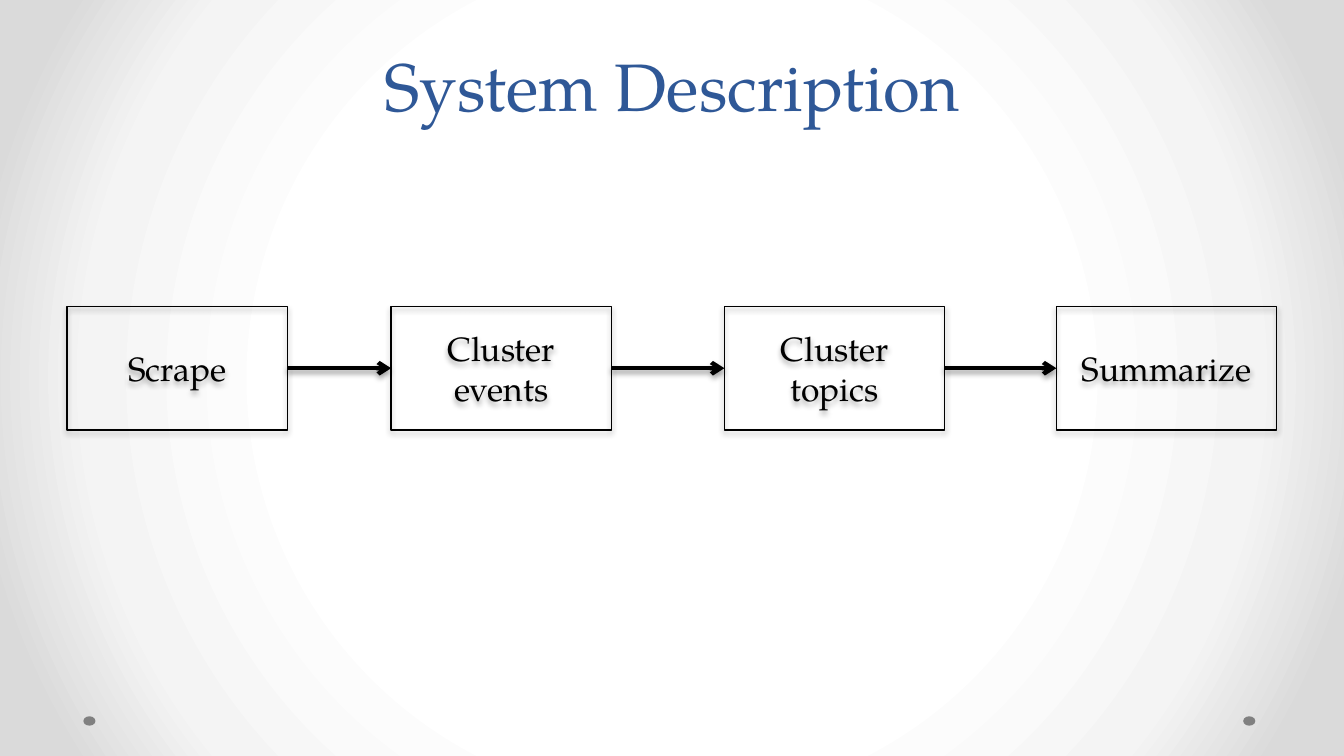
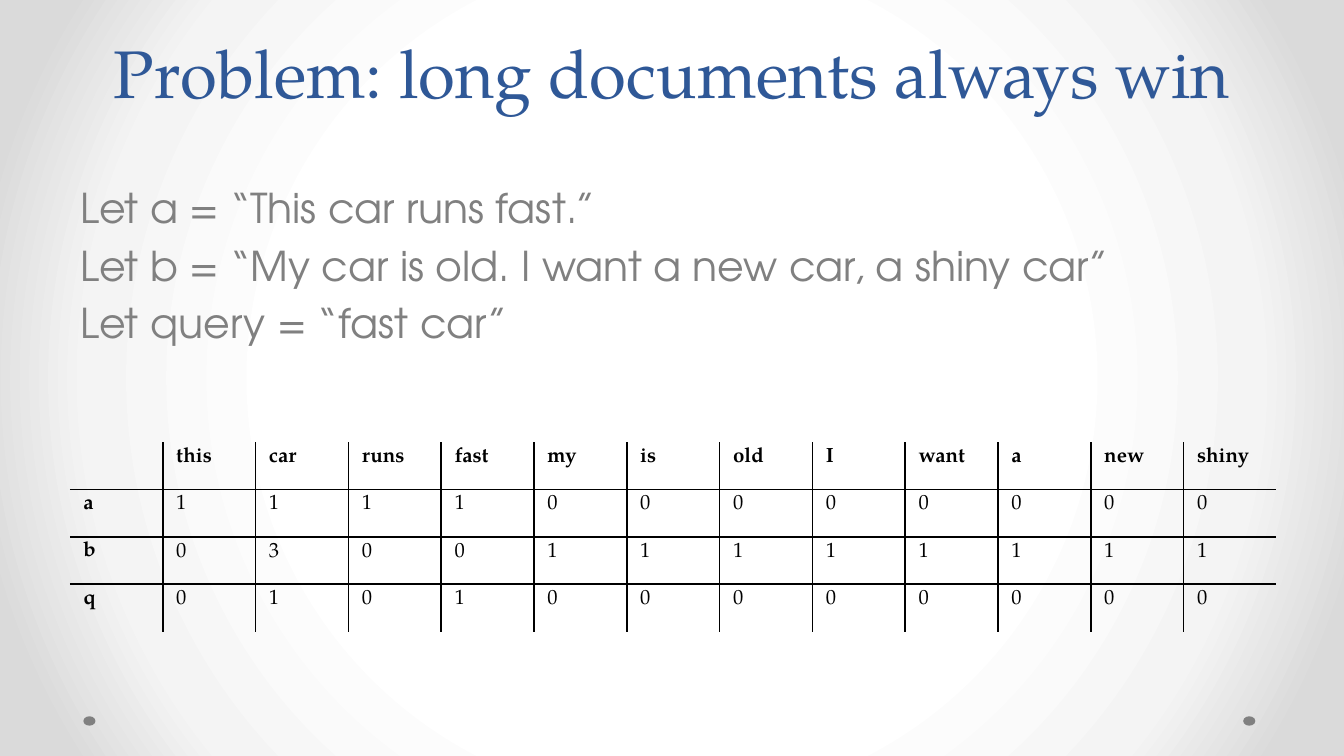
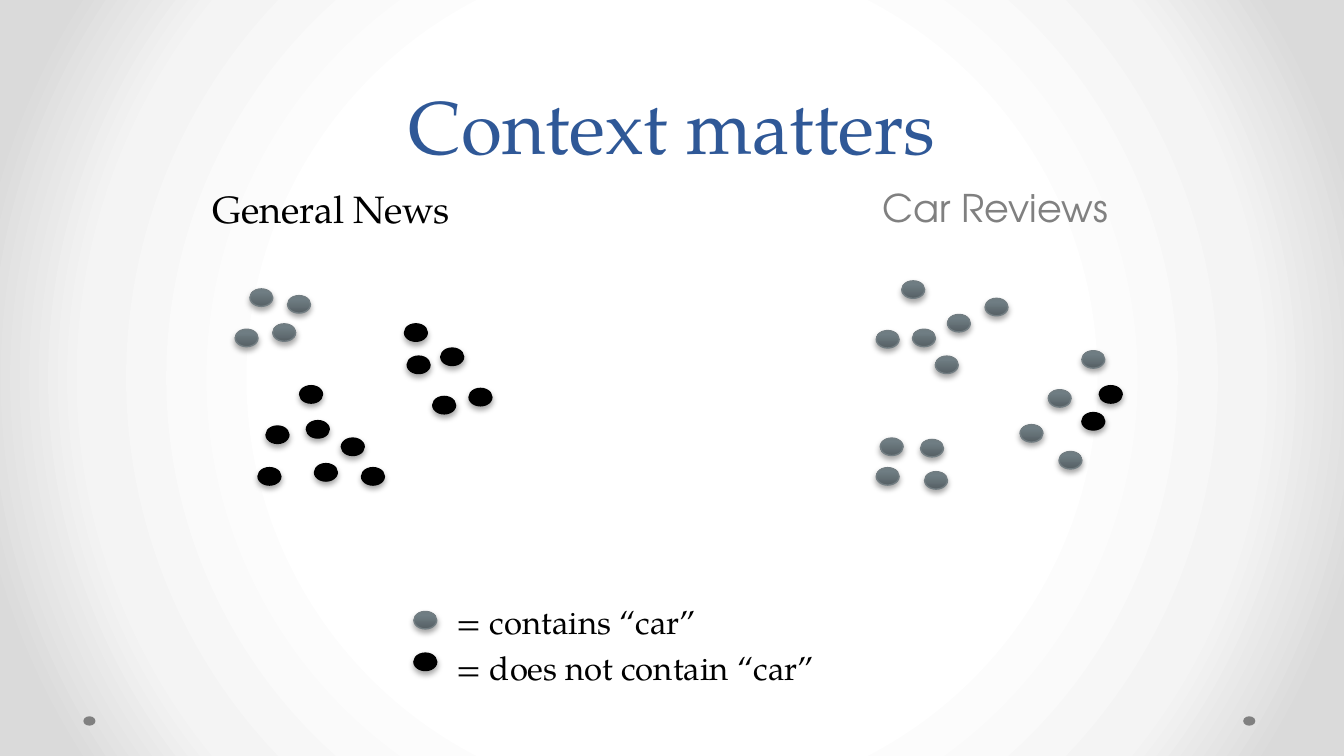
"""Build three slides on clustering and summarizing news documents."""
from dataclasses import dataclass
from typing import NamedTuple

from lxml import etree
from pptx import Presentation
from pptx import util as u
from pptx.dml.color import RGBColor
from pptx.enum import shapes, text
from pptx.oxml.ns import qn


class TextStyle(NamedTuple):
    font: str
    size: float
    color: str
    bold: bool = False


class Box(NamedTuple):
    left: float
    top: float
    width: float
    height: float

    def inches(self) -> list:
        return [u.Inches(value) for value in self]


class Shadow(NamedTuple):
    opacity: int
    blur: float
    distance: float


class Step(NamedTuple):
    left: float
    label: str


class Dot(NamedTuple):
    left: float
    top: float
    has_car: bool


@dataclass(frozen=True)
class Theme:
    serif: str = "TeX Gyre Pagella"
    sans: str = "TeX Gyre Adventor"
    black: str = "000000"
    blue: str = "2F5897"
    gray: str = "808080"
    dot_line: str = "727D82"
    backdrop: tuple = ((50, "FFFFFF"), (76, "F4F4F4"), (92, "DADADA"))
    dot_fill: tuple = ((0, "566065"), (80, "6F7D83"), (100, "6F7E84"))
    shape_shadow: Shadow = Shadow(35, 3.1, 1.8)
    arrow_shadow: Shadow = Shadow(38, 3.1, 1.6)
    title_size: float = 36
    large_title_size: float = 40
    title_spacing: float = 43.5
    body_size: float = 22
    heading_size: float = 20.4
    step_size: float = 18
    legend_size: float = 17.6
    table_size: float = 11
    thin: float = 0.75
    border: float = 1
    thick: float = 2.25


THEME = Theme()
DOT_SIZE = (0.17, 0.13)
STEP_TOP, STEP_WIDTH, STEP_HEIGHT = 2.28, 1.64, 0.92
STEPS = (
    Step(0.5, "Scrape"),
    Step(2.91, "Cluster\nevents"),
    Step(5.39, "Cluster\ntopics"),
    Step(7.86, "Summarize"),
)
EXAMPLES = (
    "Let a = “This car runs fast.”\n"
    "Let b = “My car is old. I want a new car, a shiny car”\n"
    "Let query = “fast car”"
)
WORD_COUNTS = (
    ("", "this", "car", "runs", "fast", "my", "is", "old", "I", "want", "a", "new", "shiny"),
    ("a", *"111100000000"),
    ("b", *"030011111111"),
    ("q", *"010100000000"),
)
CAR_POSITIONS = (
    (1.86, 2.15), (1.75, 2.45), (2.14, 2.2), (2.03, 2.41),
    (6.71, 2.09), (6.52, 2.46), (7.05, 2.34), (6.96, 2.65),
    (7.33, 2.22), (6.79, 2.45), (8.05, 2.61), (6.85, 3.27),
    (6.55, 3.26), (7.8, 2.9), (7.59, 3.16), (6.88, 3.51),
    (7.88, 3.36), (6.52, 3.48),
)
OTHER_POSITIONS = (
    (3.01, 2.41), (2.23, 2.87), (3.28, 2.59), (2.28, 3.13),
    (1.98, 3.17), (3.03, 2.65), (2.54, 3.26), (2.34, 3.45),
    (3.22, 2.95), (2.69, 3.48), (1.92, 3.48), (3.49, 2.89),
    (8.18, 2.87), (8.05, 3.07),
)
DOTS = [Dot(*place, True) for place in CAR_POSITIONS] + [
    Dot(*place, False) for place in OTHER_POSITIONS
]
LEGEND_DOTS = (Dot(3.08, 4.86, False), Dot(3.08, 4.55, True))


def rgb(color: str) -> RGBColor:
    return RGBColor.from_string(color)


def add_element(parent, tag: str, **attributes):
    values = {name: str(value) for name, value in attributes.items()}
    return etree.SubElement(parent, qn(tag), values)


def paint_gradient(owner, fill, stops: tuple):
    """Fill with colour stops and return the gradient element."""
    fill.gradient()
    gradient = owner.find(".//" + qn("a:gradFill"))
    gradient.clear()
    stop_list = add_element(gradient, "a:gsLst")
    for position, color in stops:
        stop = add_element(stop_list, "a:gs", pos=position * 1000)
        add_element(stop, "a:srgbClr", val=color)
    return gradient


def add_shadow(effects, shadow: Shadow) -> None:
    outer = add_element(
        effects, "a:outerShdw", blurRad=u.Pt(shadow.blur), dist=u.Pt(shadow.distance),
        dir=90 * 60000, rotWithShape=0,
    )
    color = add_element(outer, "a:srgbClr", val=THEME.black)
    add_element(color, "a:alpha", val=shadow.opacity * 1000)


def set_line(line, color: str, width: float) -> None:
    line.color.rgb = rgb(color)
    line.width = u.Pt(width)


def write_text(frame, content: str, style: TextStyle, align=None, space_share: float = 0) -> None:
    frame.text = content
    for index, paragraph in enumerate(frame.paragraphs):
        if align is not None:
            paragraph.alignment = align
        if index and space_share:
            paragraph.space_before = u.Pt(style.size * space_share)
        for run in paragraph.runs:
            run.font.name = style.font
            run.font.size = u.Pt(style.size)
            run.font.bold = style.bold
            run.font.color.rgb = rgb(style.color)


def add_text(container, box: Box, content: str, style: TextStyle, align=None):
    frame = container.add_textbox(*box.inches()).text_frame
    frame.word_wrap = True
    write_text(frame, content, style, align, 0.2)
    return frame


def add_shape(container, kind, box: Box):
    """Add an outlined shape with the shared soft shadow."""
    shape = container.add_shape(kind, *box.inches())
    shape.shadow.inherit = False
    set_line(shape.line, THEME.black, THEME.thin)
    add_shadow(shape._element.spPr.find(qn("a:effectLst")), THEME.shape_shadow)
    return shape


def add_slide(presentation, title: str, title_height: float, title_size: float = THEME.title_size):
    """Add a blank slide with the shared backdrop, corner dots and title."""
    slide = presentation.slides.add_slide(presentation.slide_layouts[6])
    gradient = paint_gradient(slide.element, slide.background.fill, THEME.backdrop)
    circle = add_element(gradient, "a:path", path="circle")
    add_element(circle, "a:fillToRect", l=50000, t=50000, r=50000, b=50000)
    for left in (9.25, 0.62):
        corner = slide.shapes.add_shape(
            shapes.MSO_SHAPE.OVAL, *Box(left, 5.33, 0.09, 0.07).inches()
        )
        corner.shadow.inherit = False
        corner.fill.solid()
        corner.fill.fore_color.rgb = rgb(THEME.gray)
        corner.line.fill.background()
    style = TextStyle(THEME.serif, title_size, THEME.blue)
    frame = add_text(
        slide.shapes, Box(0.5, 0, 9, title_height), title, style, text.PP_ALIGN.CENTER
    )
    frame.vertical_anchor = text.MSO_ANCHOR.BOTTOM
    frame.paragraphs[0].line_spacing = u.Pt(THEME.title_spacing)
    return slide


def add_step(slide, step: Step):
    box = Box(step.left, STEP_TOP, STEP_WIDTH, STEP_HEIGHT)
    shape = add_shape(slide.shapes, shapes.MSO_SHAPE.RECTANGLE, box)
    shape.fill.background()
    shape.text_frame.vertical_anchor = text.MSO_ANCHOR.MIDDLE
    style = TextStyle(THEME.serif, THEME.step_size, THEME.black)
    write_text(shape.text_frame, step.label, style, text.PP_ALIGN.CENTER)
    return shape


def add_arrow(slide, source, target) -> None:
    connector = slide.shapes.add_connector(shapes.MSO_CONNECTOR.STRAIGHT, 0, 0, 0, 0)
    connector.begin_connect(source, 3)
    connector.end_connect(target, 1)
    set_line(connector.line, THEME.black, THEME.thick)
    add_element(connector.get_or_add_ln(), "a:tailEnd", type="arrow")
    add_shadow(add_element(connector._element.spPr, "a:effectLst"), THEME.arrow_shadow)


def add_dot(container, dot: Dot) -> None:
    shape = add_shape(container, shapes.MSO_SHAPE.OVAL, Box(dot.left, dot.top, *DOT_SIZE))
    if dot.has_car:
        gradient = paint_gradient(shape._element, shape.fill, THEME.dot_fill)
        add_element(gradient, "a:lin", ang=270 * 60000, scaled=0)
        set_line(shape.line, THEME.dot_line, THEME.thin)
    else:
        shape.fill.solid()
        shape.fill.fore_color.rgb = rgb(THEME.black)


def set_borders(cell, inner_sides: dict) -> None:
    """Draw the inner sides of a cell and leave its outer sides open."""
    properties = cell._tc.get_or_add_tcPr()
    for tag, is_inner in inner_sides.items():
        line = add_element(properties, tag, w=u.Pt(THEME.border))
        if is_inner:
            add_element(add_element(line, "a:solidFill"), "a:srgbClr", val=THEME.black)
        else:
            add_element(line, "a:noFill")


def add_count_table(slide) -> None:
    row_count, column_count = len(WORD_COUNTS), len(WORD_COUNTS[0])
    box = Box(0.52, 3.29, 8.98, 1.41)
    table = slide.shapes.add_table(row_count, column_count, *box.inches()).table
    table.first_row = table.horz_banding = False
    for column in table.columns:
        column.width = u.Inches(box.width / column_count)
    for row_index, words in enumerate(WORD_COUNTS):
        table.rows[row_index].height = u.Inches(box.height / row_count)
        for column_index, word in enumerate(words):
            cell = table.cell(row_index, column_index)
            cell.margin_top = cell.margin_bottom = u.Inches(0.04)
            is_header = row_index == 0 or column_index == 0
            style = TextStyle(THEME.serif, THEME.table_size, THEME.black, is_header)
            write_text(cell.text_frame, word, style)
            if not word:
                paragraph = cell.text_frame.paragraphs[0]
                add_element(paragraph._p, "a:endParaRPr", sz=THEME.table_size * 100)
            set_borders(cell, {
                "a:lnL": column_index > 0,
                "a:lnR": column_index < column_count - 1,
                "a:lnT": row_index > 0,
                "a:lnB": row_index < row_count - 1,
            })
            cell.fill.background()


def build_system_slide(presentation) -> None:
    slide = add_slide(presentation, "System Description", 0.98)
    boxes = [add_step(slide, step) for step in STEPS]
    for source, target in zip(boxes, boxes[1:]):
        add_arrow(slide, source, target)


def build_problem_slide(presentation) -> None:
    slide = add_slide(presentation, "Problem: long documents always win", 0.88)
    style = TextStyle(THEME.sans, THEME.body_size, THEME.gray)
    add_text(slide.shapes, Box(0.5, 1.31, 9, 3.71), EXAMPLES, style)
    add_count_table(slide)


def build_context_slide(presentation) -> None:
    slide = add_slide(presentation, "Context matters", 1.31, THEME.large_title_size)
    reviews = TextStyle(THEME.sans, THEME.heading_size, THEME.gray)
    news = TextStyle(THEME.serif, THEME.heading_size, THEME.black)
    add_text(slide.shapes, Box(6.47, 1.32, 2.04, 0.37), "Car Reviews", reviews)
    add_text(slide.shapes, Box(1.48, 1.33, 2.04, 0.37), "General News", news)
    for dot in DOTS:
        add_dot(slide.shapes, dot)
    legend = slide.shapes.add_group_shape().shapes
    style = TextStyle(THEME.serif, THEME.legend_size, THEME.black)
    labels = "= contains “car”\n= does not contain “car”"
    add_text(legend, Box(3.3, 4.43, 3.75, 0.65), labels, style)
    for dot in LEGEND_DOTS:
        add_dot(legend, dot)


def main() -> None:
    presentation = Presentation()
    presentation.slide_width = u.Inches(10)
    presentation.slide_height = u.Inches(10 * 9 / 16)
    build_system_slide(presentation)
    build_problem_slide(presentation)
    build_context_slide(presentation)
    presentation.save("out.pptx")


if __name__ == "__main__":
    main()
